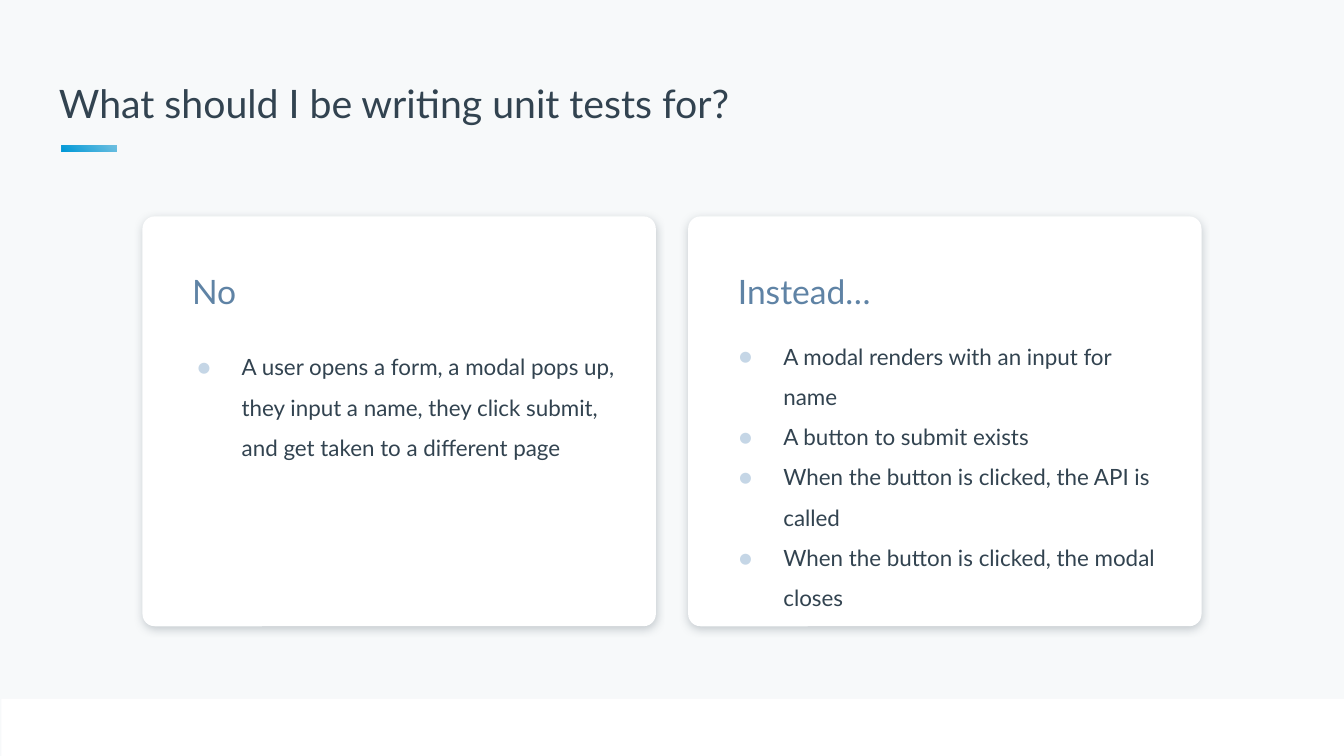
from lxml import etree
from pptx import Presentation
from pptx.dml.color import RGBColor
from pptx.enum.shapes import MSO_SHAPE
from pptx.enum.text import MSO_ANCHOR
from pptx.oxml import parse_xml
from pptx.oxml.ns import nsdecls, qn
from pptx.util import Inches, Pt

RECTANGLE = MSO_SHAPE.RECTANGLE
ROUNDED = MSO_SHAPE.ROUNDED_RECTANGLE
TOP = MSO_ANCHOR.TOP

FONT = "Lato"
COLORS = {
    "page": "F7F9FA",
    "card": "FFFFFF",
    "text": "324350",
    "heading": "5F83A5",
    "bullet": "C5D6E6",
    "accent_start": "0099D7",
    "accent_end": "70C0E0",
}
CARD_TOP, CARD_WIDTH, CARD_HEIGHT = 1.61, 3.82, 3.05
# Card left, heading, bullets, and the bullet box's offset within the card
CARDS = [
    (1.06, "No", [
        "A user opens a form, a modal pops up, they input a name, "
        "they click submit, and get taken to a different page",
    ], (0.14, 0.82)),
    (5.12, "Instead…", [
        "A modal renders with an input for name",
        "A button to submit exists",
        "When the button is clicked, the API is called",
        "When the button is clicked, the modal closes",
    ], (0.11, 0.74)),
]


def color(name):
    return RGBColor.from_string(COLORS[name])


def add_block(page, kind, left, top, width, height, fill="card"):
    block = page.shapes.add_shape(
        kind, Inches(left), Inches(top), Inches(width), Inches(height))
    block.shadow.inherit = False
    block.fill.solid()
    block.fill.fore_color.rgb = color(fill)
    block.line.fill.background()
    return block


def add_text(page, left, top, width, height, lines, size, ink,
             inset=0.1, spacing=1.0, after=0):
    """Add a text box with one paragraph per line and return its paragraphs."""
    box = page.shapes.add_textbox(
        Inches(left), Inches(top), Inches(width), Inches(height))
    frame = box.text_frame
    frame.word_wrap = True
    frame.vertical_anchor = TOP
    frame.margin_left = frame.margin_right = Inches(inset)
    frame.margin_top = frame.margin_bottom = Inches(inset)
    frame.text = "\n".join(lines)
    for para in frame.paragraphs:
        para.font.name = FONT
        para.font.size = Pt(size)
        para.font.color.rgb = color(ink)
        para.line_spacing = spacing
        para.space_after = Pt(after)
    return frame.paragraphs


def add_bullet(para):
    properties = para._p.get_or_add_pPr()
    properties.set("marL", str(Inches(0.5)))
    properties.set("indent", str(Inches(-0.33)))
    marks = [
        f'<a:buClr {nsdecls("a")}><a:srgbClr val="{COLORS["bullet"]}"/></a:buClr>',
        f'<a:buFont {nsdecls("a")} typeface="{FONT}"/>',
        f'<a:buChar {nsdecls("a")} char="●"/>',
    ]
    defaults = properties.find(qn("a:defRPr"))
    for mark in marks:
        defaults.addprevious(parse_xml(mark))


def add_soft_shadow(shape):
    effects = shape._element.spPr.find(qn("a:effectLst"))
    effects.append(parse_xml(
        f'<a:outerShdw {nsdecls("a")} blurRad="{Pt(4.5)}" dist="{Pt(1.5)}" '
        f'dir="5400000" algn="bl" rotWithShape="0">'
        f'<a:srgbClr val="{COLORS["text"]}"><a:alpha val="25000"/></a:srgbClr>'
        f'</a:outerShdw>'))


def add_header(page, left, top, width, height):
    accent = add_block(page, RECTANGLE, left + 0.12, top + 0.59, 0.41, 0.05)
    accent.fill.gradient()
    for stop, name in zip(accent.fill.gradient_stops,
                          ("accent_start", "accent_end")):
        stop.color.rgb = color(name)
    gradient = accent._element.spPr.find(qn("a:gradFill"))
    gradient.remove(gradient.find(qn("a:lin")))
    radial = etree.SubElement(gradient, qn("a:path"), {"path": "circle"})
    etree.SubElement(radial, qn("a:fillToRect"), t="100000", r="100000")
    add_text(page, left, top, width, height,
             ["What should I be writing unit tests for?"], 21, "text")


def add_card(page, left, top, width, height, heading, bullets, offset):
    card = add_block(page, ROUNDED, left, top, width, height)
    card.adjustments[0] = 0.03
    add_soft_shadow(card)
    add_text(page, left + 0.37, top + 0.36, 2.79, 0.38, [heading], 18,
             "heading", inset=0, spacing=1.15, after=12)
    across, down = offset
    for para in add_text(page, left + across, top + down, 3.58, 2.14,
                         bullets, 12, "text", spacing=1.5):
        add_bullet(para)


def main():
    deck = Presentation()
    deck.slide_width = Inches(10)
    deck.slide_height = deck.slide_width * 9 // 16
    page = deck.slides.add_slide(deck.slide_layouts[6])
    page.background.fill.solid()
    page.background.fill.fore_color.rgb = color("page")

    add_header(page, 0.34, 0.49, 9.32, 0.63)
    for left, heading, bullets, offset in CARDS:
        add_card(page, left, CARD_TOP, CARD_WIDTH, CARD_HEIGHT,
                 heading, bullets, offset)
    add_block(page, RECTANGLE, 0.01, 5.2, 9.99, 0.44)
    deck.save("out.pptx")


if __name__ == "__main__":
    main()
